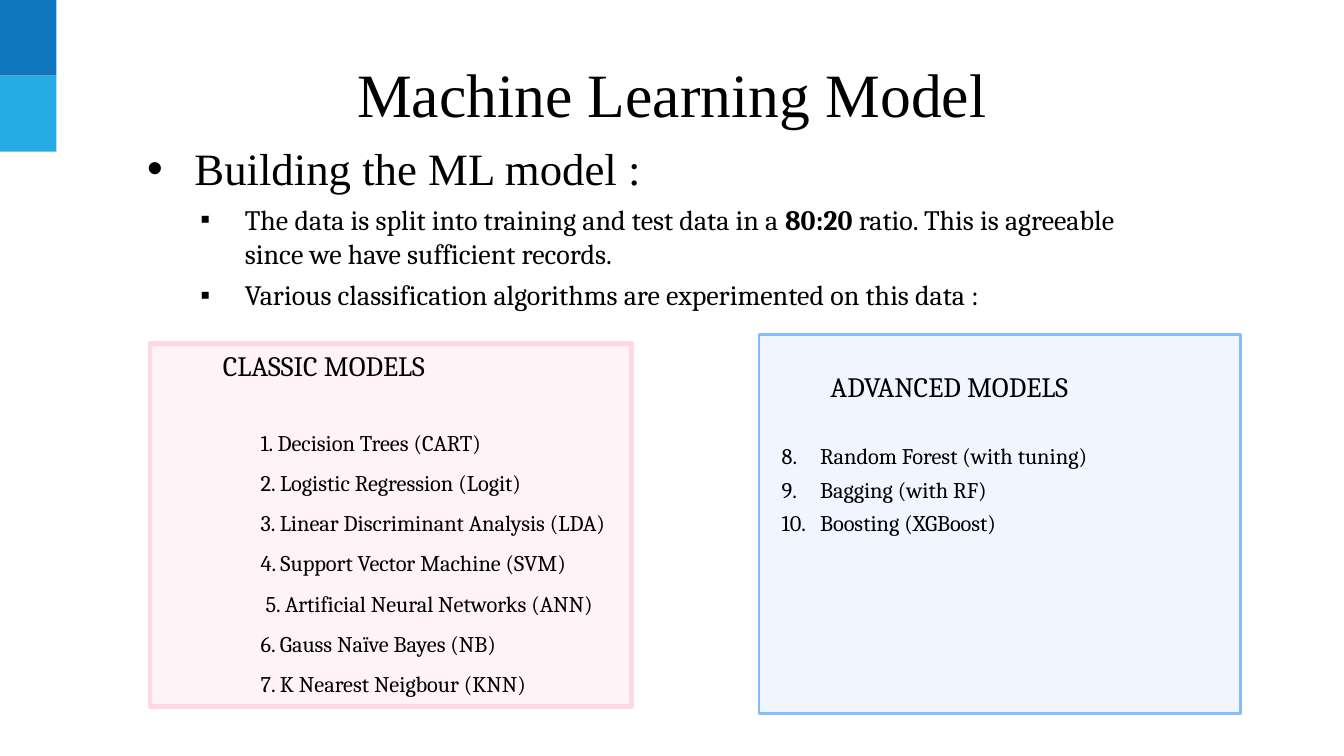
from lxml.etree import SubElement
from pptx import Presentation
from pptx.dml.color import RGBColor
from pptx.enum.shapes import MSO_SHAPE
from pptx.enum.text import MSO_ANCHOR, MSO_AUTO_SIZE, PP_ALIGN
from pptx.oxml.ns import qn
from pptx.util import Cm, Pt

BLACK = RGBColor(0x00, 0x00, 0x00)
DARK_BLUE = RGBColor(0x0F, 0x75, 0xBD)
LIGHT_BLUE = RGBColor(0x25, 0xAA, 0xE2)
PANEL_BLUE = RGBColor(0x72, 0xA1, 0xFF)
EDGE_BLUE = RGBColor(0x87, 0xBB, 0xFF)
PINK = RGBColor(0xFF, 0xD7, 0xE8)

TITLE = "Machine Learning Model"
# Each paragraph: style name, then (text, bold) spans
BODY = [
    ("topic", [("Building the ML model :", False)]),
    ("point", [
        ("The data is split into training and test data in a ", False),
        ("80:20", True),
        (" ratio. This is agreeable since we have sufficient records.", False),
    ]),
    ("point", [("Various classification algorithms are experimented on this data :", False)]),
]
CLASSIC_HEADING = " CLASSIC MODELS"
CLASSIC_MODELS = [
    "1. Decision Trees (CART)",
    "2. Logistic Regression (Logit)",
    "3. Linear Discriminant Analysis (LDA)",
    "4. Support Vector Machine (SVM)",
    " 5. Artificial Neural Networks (ANN)",
    "6. Gauss Naïve Bayes (NB)",
    "7. K Nearest Neigbour (KNN)",
]
ADVANCED_HEADING = "ADVANCED MODELS"
ADVANCED_MODELS = ["Random Forest (with tuning)", "Bagging (with RF)", "Boosting (XGBoost)"]
ADVANCED_START = 8

STYLES = {
    "title": dict(font="Times New Roman", size=44, align=PP_ALIGN.CENTER),
    "topic": dict(font="Times New Roman", size=32, margin=1.27, indent=-1.19, before=6.4, bullet="•"),
    "point": dict(font="Cambria", size=20, margin=2.54, indent=-1.12, before=5.6, bullet="▪", level=1),
    "heading": dict(font="Cambria", size=20, margin=1.43, after=23.5, level=1),
    "classic": dict(font="Cambria", size=16, margin=2.54, spacing=1.5, level=2),
    "advanced": dict(font="Cambria", size=16, margin=1.17, indent=-0.97, before=4.8,
                     number=ADVANCED_START),
}

# Left, top, width, height in centimetres
TITLE_AREA = (1.7, 0.76, 30.48, 3.18)
BODY_AREA = (3.38, 3.3, 25.1, 12.57)
CLASSIC_AREA = (3.78, 8.66, 12.14, 9.14)
ADVANCED_AREA = (19.13, 8.43, 12.14, 9.55)
ADVANCED_TEXT_AREA = (19.25, 9.17, 12.01, 5.41)
BAR_WIDTH, BAR_HEIGHT = 1.42, 1.91


def place(shape, area):
    for name, length in zip(("left", "top", "width", "height"), area):
        setattr(shape, name, Cm(length))


def add_panel(page, area, fill, opacity=100, edge=None, edge_width=0):
    panel = page.shapes.add_shape(MSO_SHAPE.RECTANGLE, *map(Cm, area))
    panel.shadow.inherit = False
    panel.fill.solid()
    panel.fill.fore_color.rgb = fill
    if opacity < 100:
        color = panel.fill._xPr.find(qn("a:solidFill"))[0]
        SubElement(color, qn("a:alpha"), val=str(opacity * 1000))
    if edge is None:
        panel.line.fill.background()
    else:
        panel.line.color.rgb = edge
        panel.line.width = Pt(edge_width)
    return panel


def set_bullet(properties, style):
    if "bullet" not in style and "number" not in style:
        SubElement(properties, qn("a:buNone"))
        return
    color = SubElement(properties, qn("a:buClr"))
    SubElement(color, qn("a:srgbClr"), val=str(BLACK))
    if "bullet" in style:
        SubElement(properties, qn("a:buFont"), typeface="Arial")
        SubElement(properties, qn("a:buChar"), char=style["bullet"])
    else:
        SubElement(properties, qn("a:buFont"), typeface="+mj-lt")
        SubElement(properties, qn("a:buAutoNum"), type="arabicPeriod", startAt=str(style["number"]))


def write(shape, paragraphs, anchor=MSO_ANCHOR.TOP, inset=0.13):
    frame = shape.text_frame
    settings = dict(word_wrap=True, auto_size=MSO_AUTO_SIZE.NONE, vertical_anchor=anchor,
                    margin_left=Cm(0.25), margin_right=Cm(0.25),
                    margin_top=Cm(inset), margin_bottom=Cm(inset))
    for name, value in settings.items():
        setattr(frame, name, value)
    for index, (style_name, spans) in enumerate(paragraphs):
        style = STYLES[style_name]
        para = frame.paragraphs[0] if index == 0 else frame.add_paragraph()
        formats = dict(level=style.get("level", 0), alignment=style.get("align", PP_ALIGN.LEFT),
                       line_spacing=style.get("spacing", 1.0),
                       space_before=Pt(style.get("before", 0)),
                       space_after=Pt(style.get("after", 0)))
        for name, value in formats.items():
            setattr(para, name, value)
        properties = para._p.get_or_add_pPr()
        properties.set("marL", str(Cm(style.get("margin", 0))))
        properties.set("indent", str(Cm(style.get("indent", 0))))
        set_bullet(properties, style)
        for text, bold in spans:
            span = para.add_run()
            span.text = text
            span.font.color.rgb = BLACK
            for name, value in dict(name=style["font"], size=Pt(style["size"]), bold=bold).items():
                setattr(span.font, name, value)


def model_list(heading, style_name, models):
    return [("heading", [(heading, False)])] + [(style_name, [(model, False)]) for model in models]


def main():
    deck = Presentation()
    deck.slide_width, deck.slide_height = Cm(33.87), Cm(19.05)
    page = deck.slides.add_slide(deck.slide_layouts[1])

    for row, color in enumerate((DARK_BLUE, LIGHT_BLUE)):
        add_panel(page, (0, row * BAR_HEIGHT, BAR_WIDTH, BAR_HEIGHT), color)

    title, body = page.shapes.title, page.placeholders[1]
    place(title, TITLE_AREA)
    write(title, [("title", [(TITLE, False)])], MSO_ANCHOR.MIDDLE, 0.25)
    place(body, BODY_AREA)
    write(body, BODY, inset=0.25)

    add_panel(page, ADVANCED_AREA, PANEL_BLUE, 10, EDGE_BLUE, 2)
    advanced_box = page.shapes.add_textbox(*map(Cm, ADVANCED_TEXT_AREA))
    write(advanced_box, model_list(ADVANCED_HEADING, "advanced", ADVANCED_MODELS))

    classic_box = add_panel(page, CLASSIC_AREA, PINK, 29, PINK, 3.25)
    write(classic_box, model_list(CLASSIC_HEADING, "classic", CLASSIC_MODELS))

    deck.save("out.pptx")


if __name__ == "__main__":
    main()
